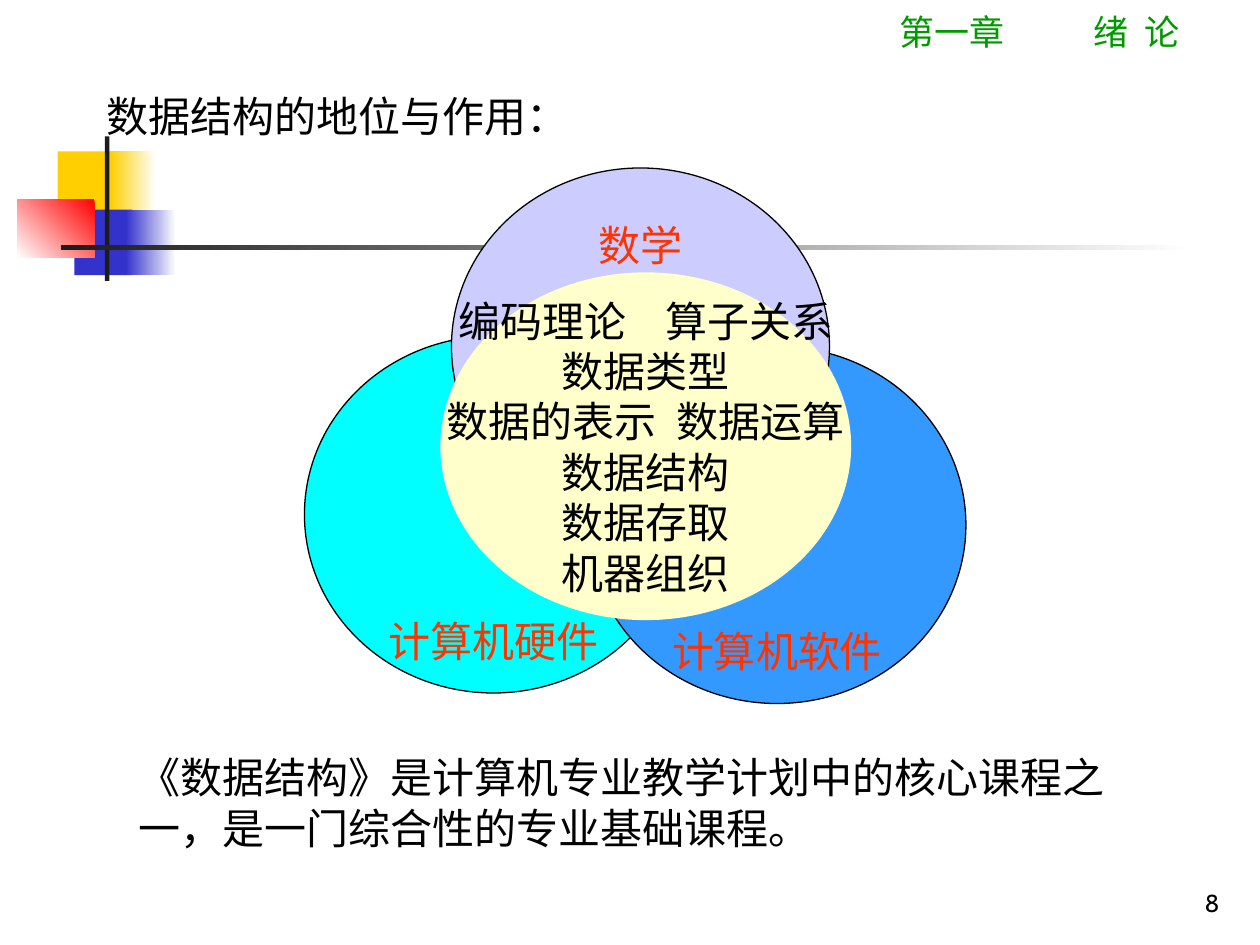
from pptx import Presentation
from pptx.dml.color import RGBColor
from pptx.enum.shapes import MSO_SHAPE
from pptx.enum.text import MSO_ANCHOR, PP_ALIGN
from pptx.util import Pt

THEME = {
    "font": "Times New Roman", "number_font": "Cabin",
    "body": 24, "head": 20, "number": 14,
    "ink": "000000", "green": "009900", "label": "FF3300",
    "white": "FFFFFF", "yellow": "FFCF01", "blue": "3333CC",
    "red": "FF0000", "dark": "1C1C1C",
    "cyan": "00FFFF", "sky": "3399FF", "lilac": "CCCCFF", "cream": "FFFFCC",
}

# left, top, width, height, then the colour or (from, to, angle)
DECOR = [
    (33, 86.5, 35, 37.5, "yellow"),
    (63, 86.5, 26, 37.5, ("white", "yellow", 180)),
    (42.5, 119.75, 33, 37.5, "blue"),
    (72, 119.75, 28.5, 37.5, ("white", "blue", 180)),
    (10, 113.75, 44, 33.5, ("red", "white", 225)),
    (60, 78, 2.5, 82.5, "dark"),
    (34.75, 140.25, 648, 2.5, ("white", "dark", 180)),
]

# left, top, colour, label, distance from ellipse top to label middle
CIRCLE = (216, 204)
FIELDS = [
    (174, 192, "cyan", "计算机硬件", 174),
    (336, 198, "sky", "计算机软件", 174),
    (258, 96, "lilac", "数学", 44),
]
LABEL = (156, 36)

# A line is a list of parts; a number widens the space between two parts
CORE = (252, 156, 234, 198)
TOPICS = [
    ["编码理论", 17, "算子关系"],
    ["数据类型"],
    ["数据的表示", 6, "数据运算"],
    ["数据结构"],
    ["数据存取"],
    ["机器组织"],
]

LEFT, MID, RIGHT = PP_ALIGN.LEFT, PP_ALIGN.CENTER, PP_ALIGN.RIGHT
TEXTS = [
    ((468, 0, 252, 36), ["第一章", 46, "绪", 4.5, "论"],
     {"size": "head", "color": "green", "align": MID, "anchor": MSO_ANCHOR.MIDDLE}),
    ((54, 48, 282, 36), ["数据结构的地位与作用："], {}),
    ((72, 426, 582, 65), ["《数据结构》是计算机专业教学计划中的核心课程之一，"
                          "是一门综合性的专业基础课程。"], {}),
    ((554, 492, 150, 36), ["8"],
     {"size": "number", "font": "number_font", "align": RIGHT,
      "anchor": MSO_ANCHOR.BOTTOM}),
]


def rgb(name):
    return RGBColor.from_string(THEME[name])


def add_form(slide, kind, box, paint, edge=None):
    form = slide.shapes.add_shape(kind, *map(Pt, box))
    form.shadow.inherit = False
    if isinstance(paint, tuple):
        first, last, angle = paint
        form.fill.gradient()
        form.fill.gradient_angle = angle
        for stop, name in zip(form.fill.gradient_stops, (first, last)):
            stop.color.rgb = rgb(name)
    else:
        form.fill.solid()
        form.fill.fore_color.rgb = rgb(paint)
    if edge:
        form.line.color.rgb = rgb(edge)
        form.line.width = Pt(0.75)
    else:
        form.line.fill.background()
    return form


def write(form, lines, size="body", font="font", color="ink", align=LEFT,
          anchor=MSO_ANCHOR.TOP, wrap=True):
    frame = form.text_frame
    frame.word_wrap = wrap
    frame.vertical_anchor = anchor
    for i, parts in enumerate(lines):
        para = frame.add_paragraph() if i else frame.paragraphs[0]
        para.alignment = align
        for part in parts:
            run = para.add_run()
            is_gap = not isinstance(part, str)
            run.text = " " if is_gap else part
            looks = {"name": THEME[font], "size": Pt(THEME[size])}
            for key, value in looks.items():
                setattr(run.font, key, value)
            run.font.color.rgb = rgb(color)
            if is_gap:
                run.font._element.set("spc", str(int(part * 100)))


def add_text(slide, box, parts, **style):
    write(slide.shapes.add_textbox(*map(Pt, box)), [parts], **style)


def main():
    deck = Presentation()
    deck.slide_width, deck.slide_height = Pt(720), Pt(540)
    slide = deck.slides.add_slide(deck.slide_layouts[6])

    for *box, paint in DECOR:
        add_form(slide, MSO_SHAPE.RECTANGLE, box, paint)

    for left, top, paint, label, drop in FIELDS:
        add_form(slide, MSO_SHAPE.OVAL, (left, top, *CIRCLE), paint, "ink")
    core = add_form(slide, MSO_SHAPE.OVAL, CORE, "cream", "cream")
    write(core, TOPICS, align=MID, anchor=MSO_ANCHOR.MIDDLE, wrap=False)

    wide, high = LABEL
    for left, top, paint, label, drop in FIELDS:
        box = (left + (CIRCLE[0] - wide) / 2, top + drop - high / 2, wide, high)
        add_text(slide, box, [label], color="label", align=MID,
                 anchor=MSO_ANCHOR.MIDDLE)

    for box, parts, style in TEXTS:
        add_text(slide, box, parts, **style)

    deck.save("out.pptx")


if __name__ == "__main__":
    main()
